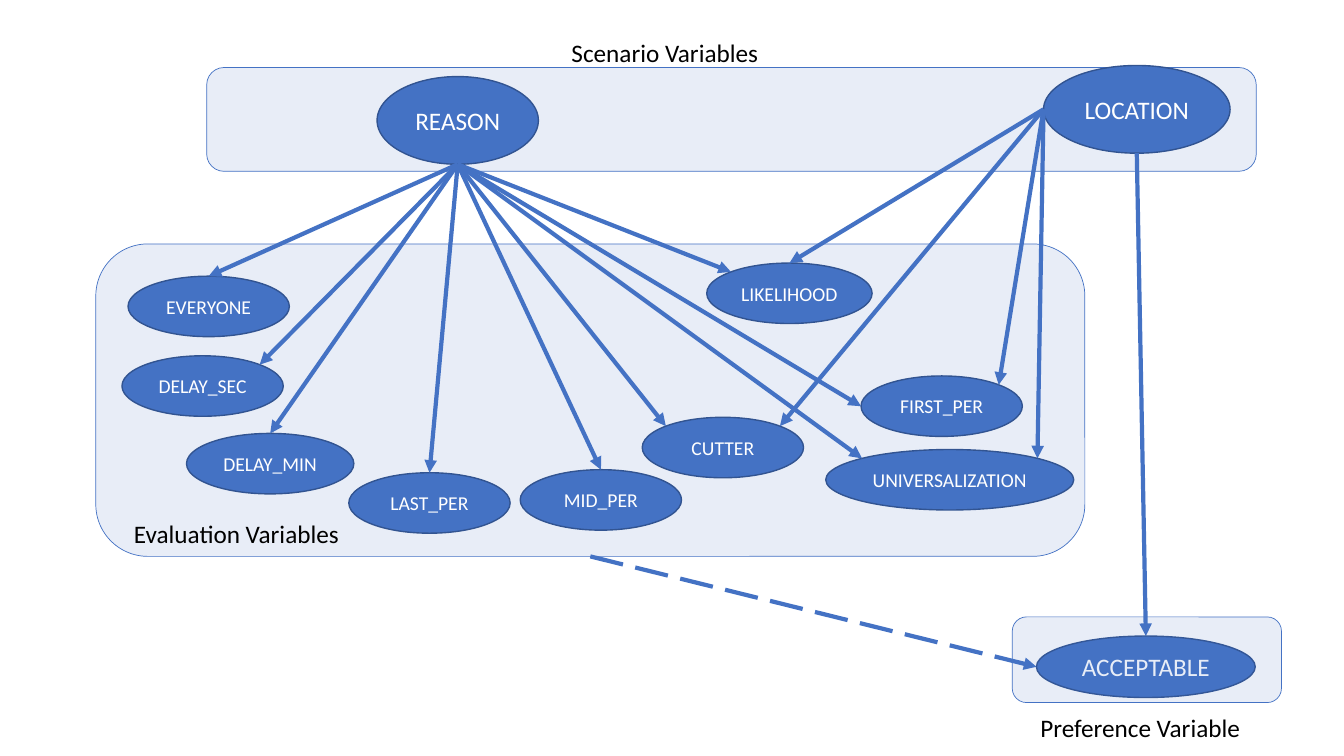
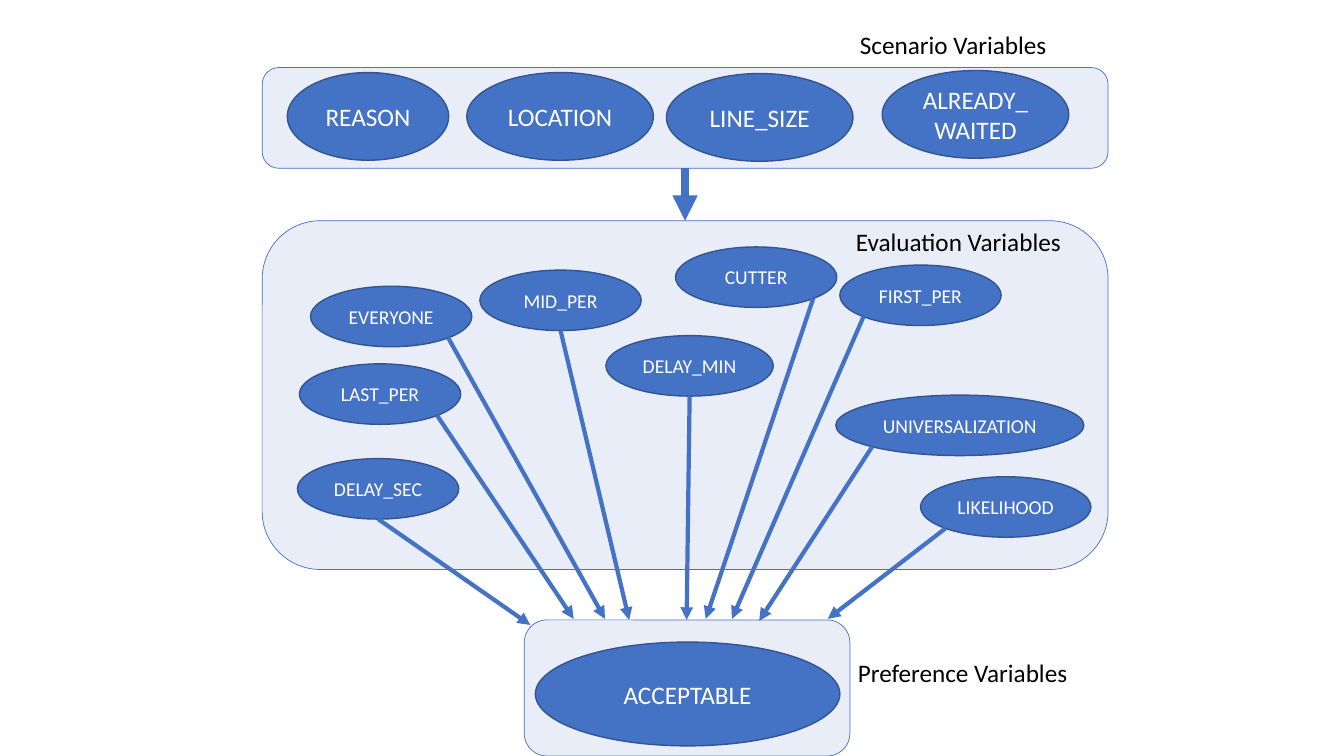
from dataclasses import dataclass
from enum import Enum
from math import sqrt
from typing import NamedTuple

from lxml.etree import SubElement
from pptx import Presentation
from pptx.dml.color import RGBColor
from pptx.enum.dml import MSO_LINE
from pptx.enum.shapes import MSO_CONNECTOR, MSO_SHAPE
from pptx.enum.text import MSO_ANCHOR, MSO_AUTO_SIZE, PP_ALIGN
from pptx.oxml.ns import qn
from pptx.slide import Slide
from pptx.text.text import TextFrame
from pptx.util import Inches, Pt

BLUE = RGBColor(0x44, 0x72, 0xC4)
OUTLINE = RGBColor(0x32, 0x54, 0x91)
WHITE = RGBColor(0xFF, 0xFF, 0xFF)
BLACK = RGBColor(0x00, 0x00, 0x00)
FONT = "Calibri"
LARGE, SMALL = 18, 14
PANEL_ALPHA = 12
NEAR = (1 - 1 / sqrt(2)) / 2
FAR = 1 - NEAR


class Site(Enum):
    """Points of an ellipse, as fractions of its width and height."""
    TOP = (0.5, 0)
    TOP_LEFT = (NEAR, NEAR)
    LEFT = (0, 0.5)
    BOTTOM_LEFT = (NEAR, FAR)
    BOTTOM = (0.5, 1)
    BOTTOM_RIGHT = (FAR, FAR)
    TOP_RIGHT = (FAR, NEAR)


class Point(NamedTuple):
    x: float
    y: float


@dataclass(frozen=True)
class Box:
    left: float
    top: float
    width: float
    height: float

    def at(self, site: Site) -> Point:
        across, down = site.value
        return Point(self.left + across * self.width, self.top + down * self.height)

    def lengths(self) -> tuple:
        return tuple(Inches(v) for v in (self.left, self.top, self.width, self.height))


@dataclass(frozen=True)
class Variable(Box):
    name: str
    size: int


def scenario(name: str, left: float, top: float, width: float = 1.85) -> Variable:
    return Variable(left, top, width, 0.87, name, LARGE)


def evaluation(name: str, left: float, top: float, width: float = 1.6) -> Variable:
    return Variable(left, top, width, 0.6, name, SMALL)


def write(frame: TextFrame, text: str, size: int, color: RGBColor) -> None:
    run = frame.paragraphs[0].add_run()
    run.text = text
    run.font.name = FONT
    run.font.size = Pt(size)
    run.font.color.rgb = color


def draw_panel(slide: Slide, box: Box) -> None:
    panel = slide.shapes.add_shape(MSO_SHAPE.ROUNDED_RECTANGLE, *box.lengths())
    panel.shadow.inherit = False
    panel.fill.solid()
    panel.fill.fore_color.rgb = BLUE
    panel.line.color.rgb = BLUE
    panel.line.width = Pt(0.5)
    tint = panel.element.spPr.find(qn("a:solidFill")).find(qn("a:srgbClr"))
    SubElement(tint, qn("a:alpha")).set("val", str(PANEL_ALPHA * 1000))


def draw_variable(slide: Slide, variable: Variable) -> None:
    ellipse = slide.shapes.add_shape(MSO_SHAPE.OVAL, *variable.lengths())
    ellipse.shadow.inherit = False
    ellipse.fill.solid()
    ellipse.fill.fore_color.rgb = BLUE
    ellipse.line.color.rgb = OUTLINE
    ellipse.line.width = Pt(1)
    frame = ellipse.text_frame
    frame.word_wrap = True
    frame.margin_left = frame.margin_right = Inches(0.05)
    frame.vertical_anchor = MSO_ANCHOR.MIDDLE
    frame.paragraphs[0].alignment = PP_ALIGN.CENTER
    write(frame, variable.name, variable.size, WHITE)


def draw_heading(slide: Slide, text: str, box: Box) -> None:
    frame = slide.shapes.add_textbox(*box.lengths()).text_frame
    frame.word_wrap = False
    frame.auto_size = MSO_AUTO_SIZE.SHAPE_TO_FIT_TEXT
    write(frame, text, LARGE, BLACK)


def draw_arrow(slide: Slide, start: Point, end: Point, width: float = 3,
               dashed: bool = False) -> None:
    arrow = slide.shapes.add_connector(
        MSO_CONNECTOR.STRAIGHT, *(Inches(v) for v in (*start, *end)))
    arrow.line.color.rgb = BLUE
    arrow.line.width = Pt(width)
    if dashed:
        arrow.line.dash_style = MSO_LINE.LONG_DASH
    properties = arrow.element.spPr
    SubElement(properties.find(qn("a:ln")), qn("a:tailEnd")).set("type", "triangle")
    SubElement(properties, qn("a:effectLst"))


def build_scenario_effects(slide: Slide) -> None:
    scenario_panel = Box(2.05, 0.67, 10.41, 1.03)
    evaluation_panel = Box(0.95, 2.42, 9.81, 3.1)
    preference_panel = Box(10.04, 6.12, 2.67, 0.85)
    location = scenario("LOCATION", 10.35, 0.65)
    reason = scenario("REASON", 3.74, 0.76, 1.6)
    acceptable = Variable(10.28, 6.31, 2.17, 0.61, "ACCEPTABLE", LARGE)
    everyone = evaluation("EVERYONE", 1.27, 2.74)
    mid_per = evaluation("MID_PER", 5.16, 4.66)
    first_per = evaluation("FIRST_PER", 8.54, 3.73)
    cutter = evaluation("CUTTER", 6.37, 4.14)
    universalization = evaluation("UNIVERSALIZATION", 8.19, 4.46, 2.46)
    likelihood = evaluation("LIKELIHOOD", 7.01, 2.61, 1.64)
    last_per = evaluation("LAST_PER", 3.46, 4.69)
    delay_min = evaluation("DELAY_MIN", 1.85, 4.3, 1.66)
    delay_sec = evaluation("DELAY_SEC", 1.21, 3.53)

    draw_panel(slide, scenario_panel)
    draw_panel(slide, evaluation_panel)
    for variable in (location, everyone, mid_per, first_per, cutter, universalization,
                     likelihood, last_per, delay_min, delay_sec, reason):
        draw_variable(slide, variable)

    reason_effects = (
        (everyone, Site.TOP), (last_per, Site.TOP), (universalization, Site.TOP_LEFT),
        (delay_sec, Site.TOP_RIGHT), (delay_min, Site.TOP), (mid_per, Site.TOP),
        (cutter, Site.TOP_LEFT), (likelihood, Site.TOP_LEFT), (first_per, Site.LEFT),
    )
    location_effects = (
        (first_per, Site.TOP_RIGHT), (likelihood, Site.TOP),
        (cutter, Site.TOP_RIGHT), (universalization, Site.TOP_RIGHT),
    )
    for start, effects in ((reason.at(Site.BOTTOM), reason_effects),
                           (location.at(Site.LEFT), location_effects)):
        for variable, site in effects:
            draw_arrow(slide, start, variable.at(site))
    draw_arrow(slide, location.at(Site.BOTTOM), acceptable.at(Site.TOP))
    draw_arrow(slide, evaluation_panel.at(Site.BOTTOM), acceptable.at(Site.LEFT),
               dashed=True)

    draw_variable(slide, acceptable)
    draw_panel(slide, preference_panel)
    draw_heading(slide, "Scenario Variables", Box(5.57, 0.32, 2.07, 0.4))
    draw_heading(slide, "Evaluation Variables", Box(1.23, 5.09, 2.26, 0.4))
    draw_heading(slide, "Preference Variable", Box(10.22, 7.02, 2.21, 0.4))


def build_preference_sources(slide: Slide) -> None:
    scenario_panel = Box(2.6, 0.67, 8.39, 1)
    evaluation_panel = Box(2.6, 2.19, 8.39, 3.46)
    preference_panel = Box(5.2, 6.15, 3.23, 1.35)
    scenarios = (
        scenario("REASON", 2.85, 0.72, 1.6),
        scenario("LOCATION", 4.63, 0.72),
        scenario("LINE_SIZE", 6.61, 0.73),
        scenario("ALREADY_WAITED", 8.75, 0.7),
    )
    acceptable = Variable(5.31, 6.37, 3.02, 1.03, "ACCEPTABLE", LARGE)
    # Each evaluation variable, where its arrow leaves, and where it arrives
    sources = (
        (evaluation("EVERYONE", 3.08, 2.84), Site.BOTTOM_RIGHT, Point(6, 6.14)),
        (evaluation("MID_PER", 4.76, 2.68), Site.BOTTOM, Point(6.24, 6.15)),
        (evaluation("FIRST_PER", 8.33, 2.63), Site.BOTTOM_LEFT, Point(7.26, 6.14)),
        (evaluation("CUTTER", 6.7, 2.45), Site.BOTTOM_RIGHT, Point(7, 6.14)),
        (evaluation("UNIVERSALIZATION", 8.29, 3.92, 2.46), Site.BOTTOM_LEFT,
         Point(7.53, 6.16)),
        (evaluation("LIKELIHOOD", 9.13, 4.73, 1.69), Site.BOTTOM_LEFT, Point(8.21, 6.14)),
        (evaluation("LAST_PER", 2.97, 3.61), Site.BOTTOM_RIGHT, Point(5.69, 6.14)),
        (evaluation("DELAY_MIN", 6.01, 3.33, 1.66), Site.BOTTOM, Point(6.81, 6.15)),
        (evaluation("DELAY_SEC", 2.95, 4.55), Site.BOTTOM, Point(5.26, 6.2)),
    )

    for panel in (preference_panel, scenario_panel, evaluation_panel):
        draw_panel(slide, panel)
    for variable in (*scenarios, acceptable):
        draw_variable(slide, variable)
    for variable, _, _ in sources:
        draw_variable(slide, variable)
    for variable, site, end in sources:
        draw_arrow(slide, variable.at(site), end)
    draw_arrow(slide, scenario_panel.at(Site.BOTTOM), evaluation_panel.at(Site.TOP), width=6)

    draw_heading(slide, "Scenario Variables", Box(8.43, 0.24, 2.07, 0.4))
    draw_heading(slide, "Evaluation Variables", Box(8.39, 2.2, 2.26, 0.4))
    draw_heading(slide, "Preference Variables", Box(8.41, 6.47, 2.3, 0.4))


def main() -> None:
    deck = Presentation()
    deck.slide_width, deck.slide_height = Inches(13.33), Inches(7.5)
    blank = deck.slide_layouts[6]
    for build in (build_scenario_effects, build_preference_sources):
        build(deck.slides.add_slide(blank))
    deck.save("out.pptx")


if __name__ == "__main__":
    main()
